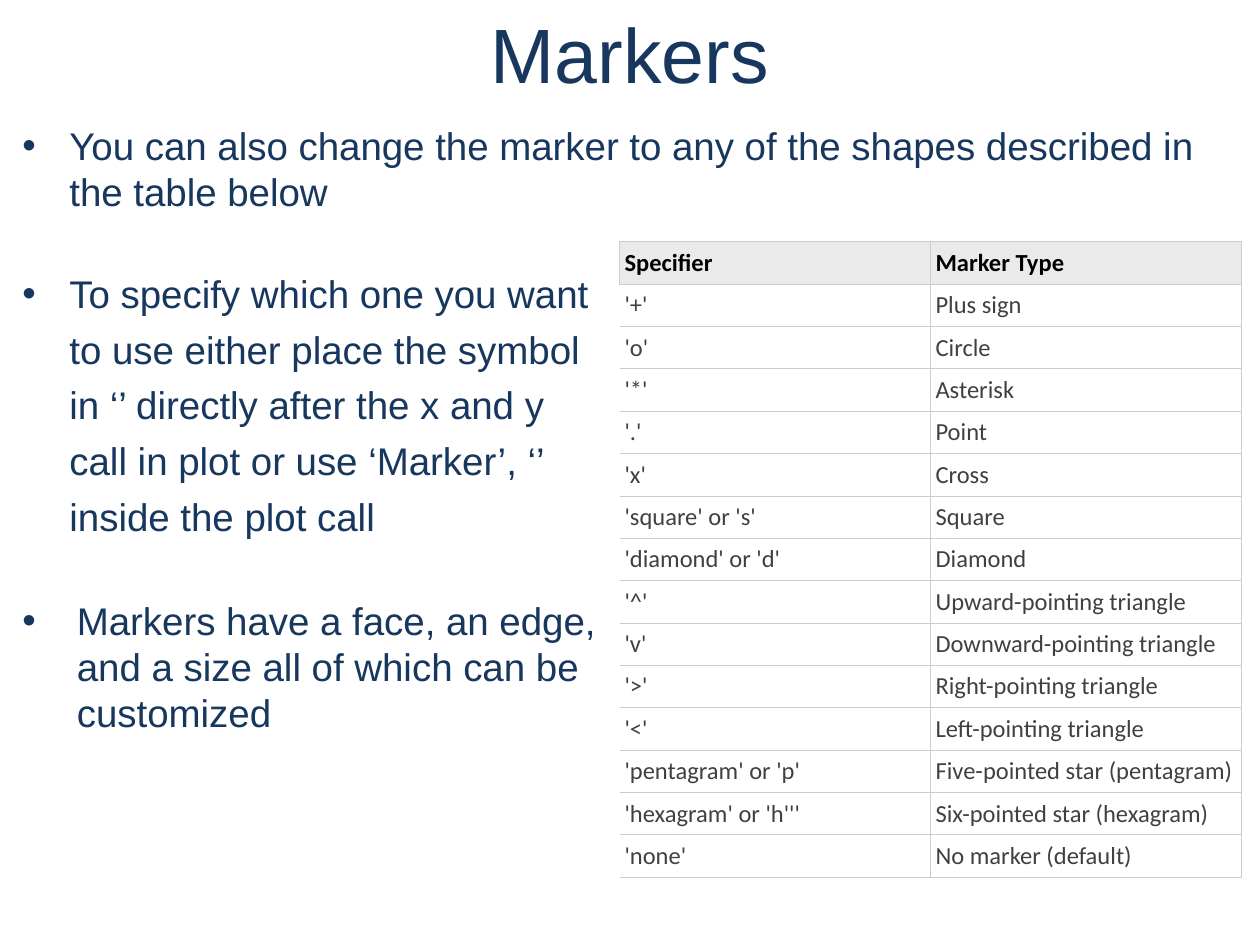
from dataclasses import dataclass

from lxml.etree import SubElement
from pptx import Presentation
from pptx.dml.color import RGBColor
from pptx.enum.text import MSO_ANCHOR, PP_ALIGN
from pptx.oxml.ns import qn
from pptx.util import Cm, Pt

NAVY = "17375E"
BLACK = "000000"
CHARCOAL = "404040"
GRID_GRAY = "CCCCCC"
HEADER_GRAY = "EAEAEA"
WHITE = "FFFFFF"


@dataclass
class Line:
    text: str
    bullet: bool = False
    space_before: float = 0


@dataclass
class TextBlock:
    left: float
    top: float
    width: float
    height: float
    lines: list[Line]
    size: float = 22
    indent: float = 0
    align: PP_ALIGN = PP_ALIGN.LEFT
    anchor: MSO_ANCHOR = MSO_ANCHOR.TOP


TITLE = TextBlock(0, 0, 25.4, 2.11, [Line("Markers")], size=44,
                  align=PP_ALIGN.CENTER, anchor=MSO_ANCHOR.MIDDLE)
INSTRUCTIONS = TextBlock(0.2, 2.34, 25.2, 15.88, [
    Line("You can also change the marker to any of the shapes described in "
         "the table below", bullet=True),
    Line("To specify which one you want", bullet=True, space_before=31.5),
    Line("to use either place the symbol", space_before=5.5),
    Line("in ‘’ directly after the x and y", space_before=5.5),
    Line("call in plot or use ‘Marker’, ‘’", space_before=5.5),
    Line("inside the plot call", space_before=5.5),
], indent=0.95)
CUSTOMIZING = TextBlock(0.2, 11.91, 13, 3.05, [
    Line("Markers have a face, an edge, and a size all of which can be "
         "customized", bullet=True),
], indent=1.1)

MARKER_ROWS = [
    ("Specifier", "Marker Type"),
    ("'+'", "Plus sign"),
    ("'o'", "Circle"),
    ("'*'", "Asterisk"),
    ("'.'", "Point"),
    ("'x'", "Cross"),
    ("'square' or 's'", "Square"),
    ("'diamond' or 'd'", "Diamond"),
    ("'^'", "Upward-pointing triangle"),
    ("'v'", "Downward-pointing triangle"),
    ("'>'", "Right-pointing triangle"),
    ("'<'", "Left-pointing triangle"),
    ("'pentagram' or 'p'", "Five-pointed star (pentagram)"),
    ("'hexagram' or 'h'''", "Six-pointed star (hexagram)"),
    ("'none'", "No marker (default)"),
]


def color(value: str) -> RGBColor:
    return RGBColor.from_string(value)


def write_text(paragraph, text: str, *, size: float, font: str = "Arial",
               fill: str = NAVY, bold: bool = False) -> None:
    run = paragraph.add_run()
    run.text = text
    run.font.size = Pt(size)
    run.font.name = font
    run.font.bold = bold
    run.font.color.rgb = color(fill)


def set_indent(paragraph, indent: float, bullet: bool) -> None:
    properties = paragraph._p.get_or_add_pPr()
    properties.set("marL", str(Cm(indent)))
    properties.set("indent", str(-Cm(indent) if bullet else 0))
    if bullet:
        bullet_color = SubElement(properties, qn("a:buClr"))
        SubElement(bullet_color, qn("a:srgbClr"), val=NAVY)
        SubElement(properties, qn("a:buFont"), typeface="Arial")
        SubElement(properties, qn("a:buChar"), char="•")


def add_text_block(slide, block: TextBlock) -> None:
    shape = slide.shapes.add_textbox(Cm(block.left), Cm(block.top),
                                     Cm(block.width), Cm(block.height))
    frame = shape.text_frame
    frame.word_wrap = True
    frame.vertical_anchor = block.anchor
    for index, line in enumerate(block.lines):
        paragraph = frame.add_paragraph() if index else frame.paragraphs[0]
        set_indent(paragraph, block.indent, line.bullet)
        paragraph.alignment = block.align
        if line.space_before:
            paragraph.space_before = Pt(line.space_before)
        write_text(paragraph, line.text, size=block.size)


def set_borders(cell, open_left: bool) -> None:
    properties = cell._tc.get_or_add_tcPr()
    for position, side in enumerate(("lnL", "lnR", "lnT", "lnB")):
        border = SubElement(properties, qn(f"a:{side}"), w=str(Pt(0.34)))
        if side == "lnL" and open_left:
            SubElement(border, qn("a:noFill"))
        else:
            fill = SubElement(border, qn("a:solidFill"))
            SubElement(fill, qn("a:srgbClr"), val=GRID_GRAY)
        # Borders come before the cell fill
        properties.insert(position, border)


def add_marker_table(slide, rows: list[tuple[str, str]]) -> None:
    row_height = 0.84
    table = slide.shapes.add_table(len(rows), 2, Cm(12.49), Cm(4.87), Cm(12.54),
                                   Cm(row_height * len(rows))).table
    table.horz_banding = False
    for row_index, values in enumerate(rows):
        table.rows[row_index].height = Cm(row_height)
        header = row_index == 0
        for column_index, text in enumerate(values):
            cell = table.cell(row_index, column_index)
            cell.margin_left = cell.margin_right = Cm(0.1)
            cell.margin_top = cell.margin_bottom = Cm(0.13)
            cell.fill.solid()
            cell.fill.fore_color.rgb = color(HEADER_GRAY if header else WHITE)
            set_borders(cell, open_left=not header and column_index == 0)
            write_text(cell.text_frame.paragraphs[0], text, size=14,
                       font="Calibri", fill=BLACK if header else CHARCOAL,
                       bold=header)


def main() -> None:
    presentation = Presentation()
    presentation.slide_width = Cm(25.4)
    presentation.slide_height = Cm(19.05)
    slide = presentation.slides.add_slide(presentation.slide_layouts[6])

    # Title and instructions
    add_text_block(slide, TITLE)
    add_text_block(slide, INSTRUCTIONS)

    # Marker reference
    add_marker_table(slide, MARKER_ROWS)

    # Closing point
    add_text_block(slide, CUSTOMIZING)

    presentation.save("out.pptx")


if __name__ == "__main__":
    main()
